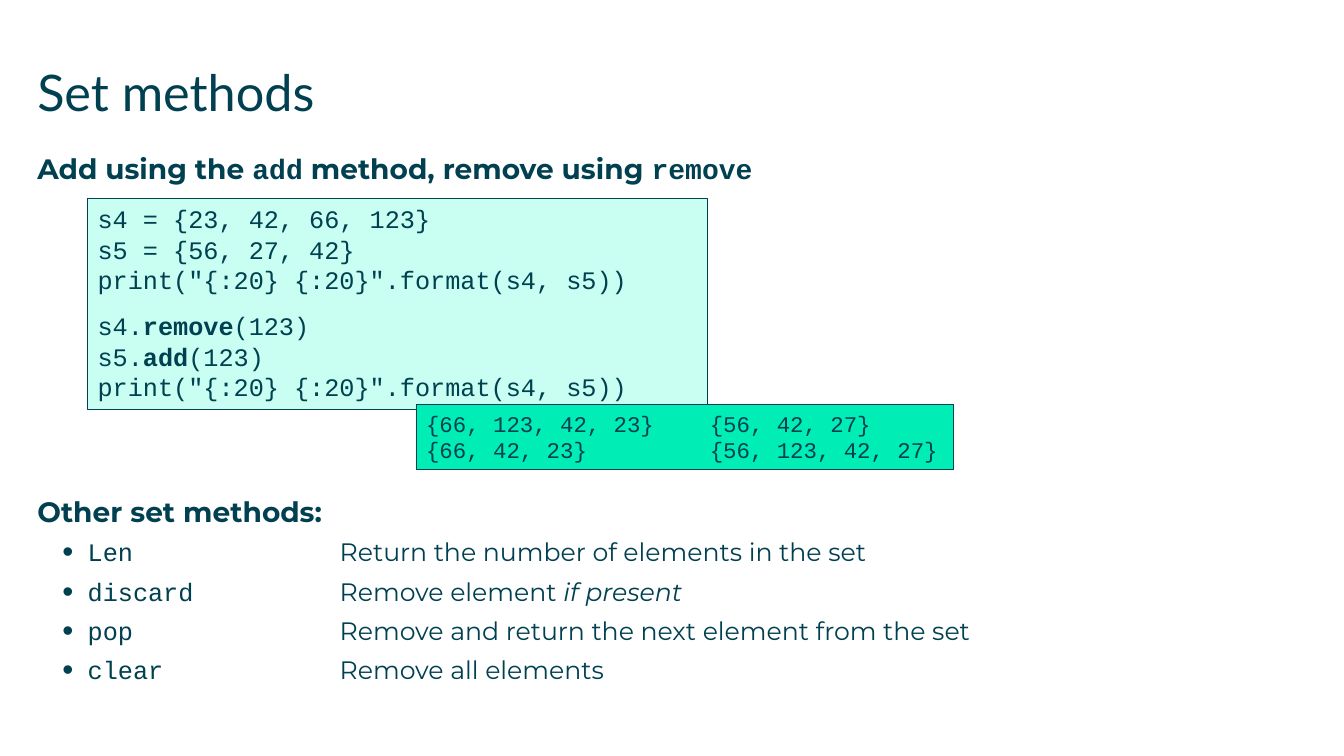
from lxml.etree import SubElement
from pptx import Presentation
from pptx.dml.color import RGBColor
from pptx.enum.shapes import MSO_SHAPE as Shape
from pptx.enum.text import MSO_ANCHOR as Anchor, PP_ALIGN as Align
from pptx.oxml.ns import qn
from pptx.util import Cm, Pt

INK, PALE, MINT = "004050", "C8FFF2", "00EDB5"
HEAD, BODY, CODE = "Lato", "Montserrat", "Courier New"

# A run is (text, font, style); style holds "b" for bold and "i" for italic.
TITLE = "Set methods"
INTRO = [("Add using the ", BODY, "b"), ("add", CODE, "b"),
         (" method, remove using ", BODY, "b"), ("remove", CODE, "b")]
SETUP = ["s4 = {23, 42, 66, 123}", "s5 = {56, 27, 42}"]
PRINT = 'print("{:20} {:20}".format(s4, s5))'
CALLS = [("s4.", "remove", "(123)"), ("s5.", "add", "(123)")]
OUTPUT = [("{66, 123, 42, 23}", "{56, 42, 27}"),
          ("{66, 42, 23}", "{56, 123, 42, 27}")]
OTHER = "Other set methods:"
METHODS = [
    ("Len", [("Return the number of elements in the set", BODY, "")]),
    ("discard", [("Remove element ", BODY, ""), ("if present", BODY, "i")]),
    ("pop", [("Remove and return the next element from the set", BODY, "")]),
    ("clear", [("Remove all elements", BODY, "")]),
]
LEFT, WIDTH = Cm(0.94), Cm(32)


def color(code):
    return RGBColor.from_string(code)


def write(para, runs, size):
    para.alignment = Align.LEFT
    for text, name, style in runs:
        run = para.add_run()
        run.text = text
        font = run.font
        font.name, font.size = name, Pt(size)
        font.bold, font.italic = "b" in style, "i" in style
        font.color.rgb = color(INK)


def fill(frame, lines, size, after=0):
    """Write one paragraph per line of runs and return the paragraphs."""
    paras = [frame.paragraphs[0]]
    paras += [frame.add_paragraph() for _ in lines[1:]]
    for para, runs in zip(paras, lines):
        para.space_after = Pt(after)
        write(para, runs, size)
    return paras


def clear(frame):
    """Remove the insets and hold the text at the top."""
    frame.margin_left = frame.margin_right = 0
    frame.margin_top = frame.margin_bottom = 0
    frame.vertical_anchor = Anchor.TOP
    frame.word_wrap = True


def label(slide, top, height):
    frame = slide.shapes.add_textbox(LEFT, top, WIDTH, height).text_frame
    clear(frame)
    return frame


def panel(slide, place, back):
    box = slide.shapes.add_shape(Shape.RECTANGLE, *map(Cm, place))
    box.shadow.inherit = False
    box.fill.solid()
    box.fill.fore_color.rgb = color(back)
    box.line.color.rgb = color(INK)
    box.line.width = Pt(0.75)
    box.text_frame.vertical_anchor = Anchor.TOP
    return box.text_frame


def bullet(para):
    props = para._p.get_or_add_pPr()
    props.set("marL", str(Cm(1.27)))
    props.set("indent", str(Cm(-0.64)))
    SubElement(props, qn("a:buSzPct"), val="125000")
    SubElement(props, qn("a:buFont"), typeface="Arial")
    SubElement(props, qn("a:buChar"), char="•")


def tab(para, at):
    stops = SubElement(para._p.get_or_add_pPr(), qn("a:tabLst"))
    SubElement(stops, qn("a:tab"), pos=str(at), algn="l")


def main():
    deck = Presentation()
    deck.slide_width, deck.slide_height = Cm(33.87), Cm(19.05)
    slide = deck.slides.add_slide(deck.slide_layouts[5])

    title = slide.shapes.title
    title.left, title.top = LEFT, Cm(1.55)
    title.width, title.height = WIDTH, Cm(2.24)
    clear(title.text_frame)
    fill(title.text_frame, [[(TITLE, HEAD, "")]], 36)

    fill(label(slide, Cm(3.81), Cm(1)), [INTRO], 20)

    last = [(PRINT, CODE, "")]
    setup = [[(line, CODE, "")] for line in SETUP]
    calls = [[(name, CODE, ""), (call, CODE, "b"), (args, CODE, "")]
             for name, call, args in CALLS]
    code = panel(slide, (2.21, 5.01, 15.62, 5.31), PALE)
    paras = fill(code, setup + [last] + calls + [last], 18)
    paras[len(setup) + 1].space_before = Pt(11.5)

    result = panel(slide, (10.49, 10.2, 13.54, 1.63), MINT)
    result.word_wrap = False
    rows = [[("\t".join(row), CODE, "")] for row in OUTPUT]
    for para in fill(result, rows, 16):
        tab(para, Cm(7.15))

    notes = label(slide, Cm(12.45), Cm(5.1))
    fill(notes, [[(OTHER, BODY, "b")]], 20, 6.5)
    for name, about in METHODS:
        para = notes.add_paragraph()
        para.space_after = Pt(6.5)
        write(para, [(name + "\t", CODE, "")] + about, 18)
        bullet(para)
        tab(para, Cm(7.62))

    deck.save("out.pptx")


if __name__ == "__main__":
    main()
